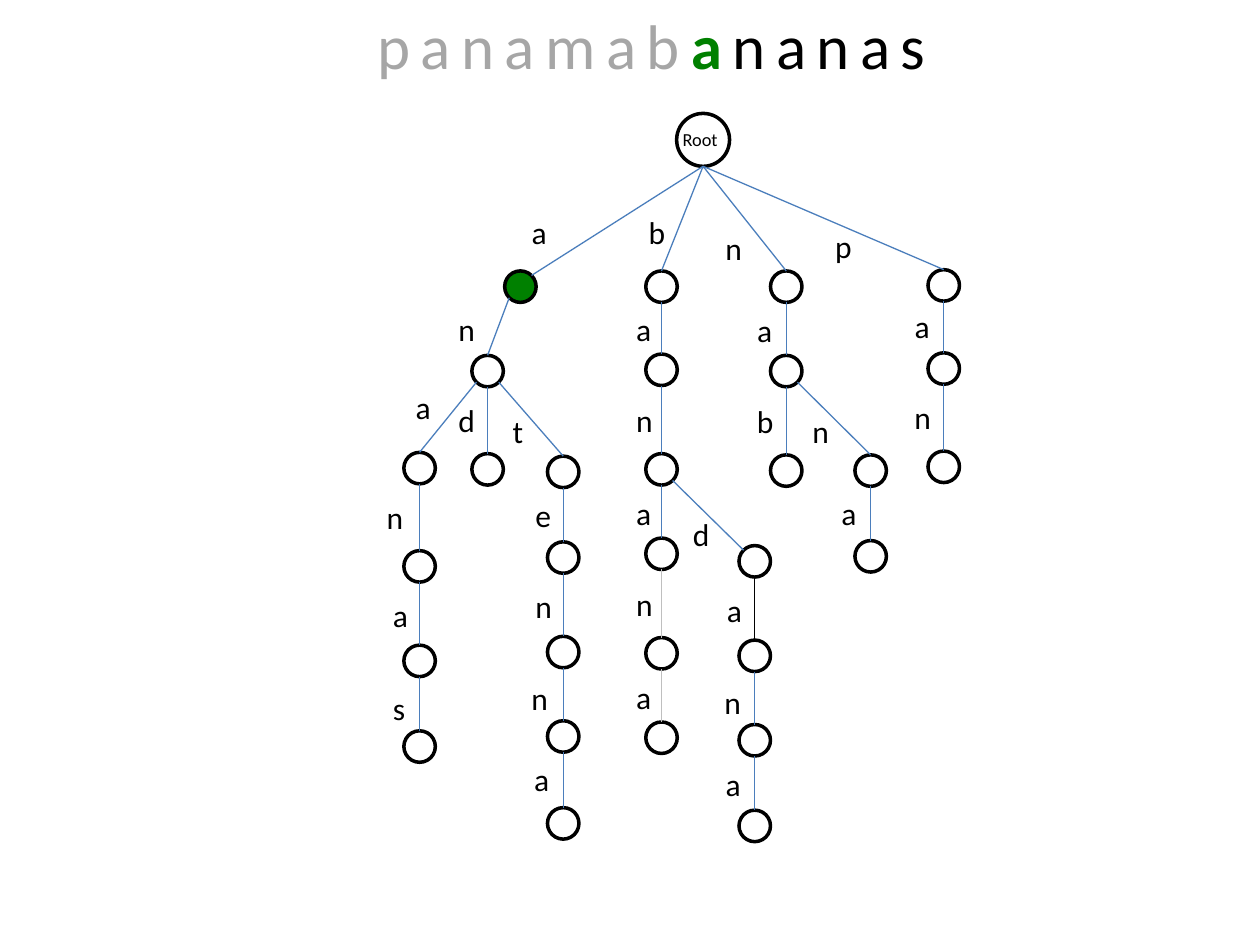
"""Draw a suffix trie walk over the text panamabananas."""
from dataclasses import dataclass

from pptx import Presentation
from pptx.dml.color import RGBColor as Rgb
from pptx.enum.shapes import MSO_CONNECTOR as Conn, MSO_SHAPE as Form
from pptx.enum.text import MSO_ANCHOR as Anchor, MSO_AUTO_SIZE as Fit, PP_ALIGN as Align
from pptx.oxml import parse_xml
from pptx.oxml.ns import nsdecls
from pptx.util import Inches, Pt

HUES = {"ink": "000000", "paper": "FFFFFF", "here": "008000",
        "past": "A6A6A6", "edge": "4B7EBC", "pale": "BFBFBF"}
FONT = "Calibri"
SIZE = 0.25
DIAG = SIZE / 2 * 0.7071
ROOT_X, ROOT_Y, ROOT_SIZE = 5.58, 0.9, 0.42
WIDTHS = {"a": 0.32, "e": 0.33, "s": 0.3, "t": 0.29}


@dataclass
class Node:
    """A trie node, named by its path; start and end are edge sides (-1, 0, 1)."""
    word: str
    x: float
    top: float
    text_x: float
    text_y: float
    start: int = 0
    end: int = 0
    line: str = "edge"
    fill: str = "paper"


NODES = [
    Node("a", 4.13, 2.15, 4.12, 1.64, end=1, fill="here"),
    Node("an", 3.87, 2.82, 3.54, 2.41, start=-1),
    Node("ana", 3.33, 3.59, 3.2, 3.03, start=-1),
    Node("anan", 3.33, 4.37, 2.97, 3.9),
    Node("anana", 3.33, 5.12, 3.02, 4.68),
    Node("ananas", 3.33, 5.8, 3.02, 5.42),
    Node("and", 3.87, 3.6, 3.54, 3.13),
    Node("ant", 4.47, 3.62, 3.97, 3.22, start=1),
    Node("ante", 4.47, 4.3, 4.15, 3.89),
    Node("anten", 4.47, 5.05, 4.15, 4.61),
    Node("antenn", 4.47, 5.72, 4.12, 5.34),
    Node("antenna", 4.47, 6.41, 4.14, 5.98),
    Node("b", 5.25, 2.15, 5.05, 1.64),
    Node("ba", 5.25, 2.81, 4.95, 2.41),
    Node("ban", 5.25, 3.6, 4.95, 3.13),
    Node("bana", 5.25, 4.27, 4.95, 3.87),
    Node("banan", 5.25, 5.06, 4.95, 4.59, line="pale"),
    Node("banana", 5.25, 5.73, 4.95, 5.33, line="pale"),
    Node("band", 5.99, 4.33, 5.4, 4.04, start=1, end=-1),
    Node("banda", 5.99, 5.08, 5.67, 4.64, line="ink"),
    Node("bandan", 5.99, 5.75, 5.65, 5.37),
    Node("bandana", 5.99, 6.43, 5.66, 6.02),
    Node("n", 6.24, 2.15, 5.66, 1.77),
    Node("na", 6.24, 2.82, 5.91, 2.42),
    Node("nab", 6.24, 3.61, 5.91, 3.14),
    Node("nan", 6.91, 3.61, 6.35, 3.22, start=1),
    Node("nana", 6.91, 4.29, 6.58, 3.87),
    Node("p", 7.49, 2.14, 6.53, 1.75),
    Node("pa", 7.49, 2.8, 7.16, 2.39),
    Node("pan", 7.49, 3.58, 7.16, 3.11),
]


def tint(name: str) -> Rgb:
    """Look up a colour."""
    return Rgb.from_string(HUES[name])


def ring(slide, x: float, top: float, size: float, fill: str):
    """Draw a circle centred on x."""
    disc = slide.shapes.add_shape(Form.OVAL, Inches(x - size / 2), Inches(top),
                                  Inches(size), Inches(size))
    disc.shadow.inherit = False
    disc.fill.solid()
    disc.fill.fore_color.rgb = tint(fill)
    disc.line.color.rgb = tint("ink")
    disc.line.width = Pt(2)
    return disc


def label(slide, text: str, box: tuple, size: float, wrap: bool = False) -> None:
    """Write one short text."""
    frame = slide.shapes.add_textbox(*map(Inches, box)).text_frame
    frame.word_wrap = wrap
    frame.auto_size = Fit.SHAPE_TO_FIT_TEXT
    para = frame.paragraphs[0]
    para.text = text
    para.font.size = Pt(size)
    para.font.name = FONT
    para.font.color.rgb = tint("ink")


def edge(slide, node: Node, disc, from_x: float, from_y: float) -> None:
    """Join a parent's rim to a node."""
    to_x = node.x + node.end * DIAG
    to_y = node.top + (SIZE / 2 - DIAG if node.end else 0)
    line = slide.shapes.add_connector(
        Conn.STRAIGHT, *map(Inches, (from_x, from_y, to_x, to_y)))
    if not node.end:
        line.end_connect(disc, 0)
    line.line.color.rgb = tint(node.line)
    line.line.width = Pt(0.75)
    line._element.spPr.append(parse_xml(f"<a:effectLst {nsdecls('a')}/>"))


def head(slide) -> None:
    """Fill the title with the text being scanned."""
    title = slide.shapes.title
    title.left, title.top, title.width, title.height = map(Inches, (2.67, 0, 5, 0.71))
    frame = title.text_frame
    frame.word_wrap = True
    frame.auto_size = Fit.SHAPE_TO_FIT_TEXT
    frame.vertical_anchor = Anchor.TOP
    para = frame.paragraphs[0]
    para.alignment = Align.CENTER
    para.font.size = Pt(36)
    para.font.name = FONT
    for text, hue in (("panamab", "past"), ("a", "here"), ("nanas", "ink")):
        run = para.add_run()
        run.text = text
        run.font.bold = hue == "here"
        run.font.color.rgb = tint(hue)
        run.font._element.set("spc", "600")


def main() -> None:
    """Build and save the slide."""
    deck = Presentation()
    deck.slide_width, deck.slide_height = Inches(10), Inches(7.5)
    slide = deck.slides.add_slide(deck.slide_layouts[5])
    head(slide)
    ring(slide, ROOT_X, ROOT_Y, ROOT_SIZE, "paper")
    label(slide, "Root", (5.32, 0.97, 0.55, 0.28), 10.5, wrap=True)
    seen = {}
    for node in NODES:
        disc = ring(slide, node.x, node.top, SIZE, node.fill)
        base = seen.get(node.word[:-1])
        if base:
            drop = SIZE / 2 + DIAG if node.start else SIZE
            edge(slide, node, disc, base.x + node.start * DIAG, base.top + drop)
        else:
            edge(slide, node, disc, ROOT_X, ROOT_Y + ROOT_SIZE)
        char = node.word[-1]
        label(slide, char, (node.text_x, node.text_y, WIDTHS.get(char, 0.34), 0.4), 18)
        seen[node.word] = node
    deck.save("out.pptx")


if __name__ == "__main__":
    main()
